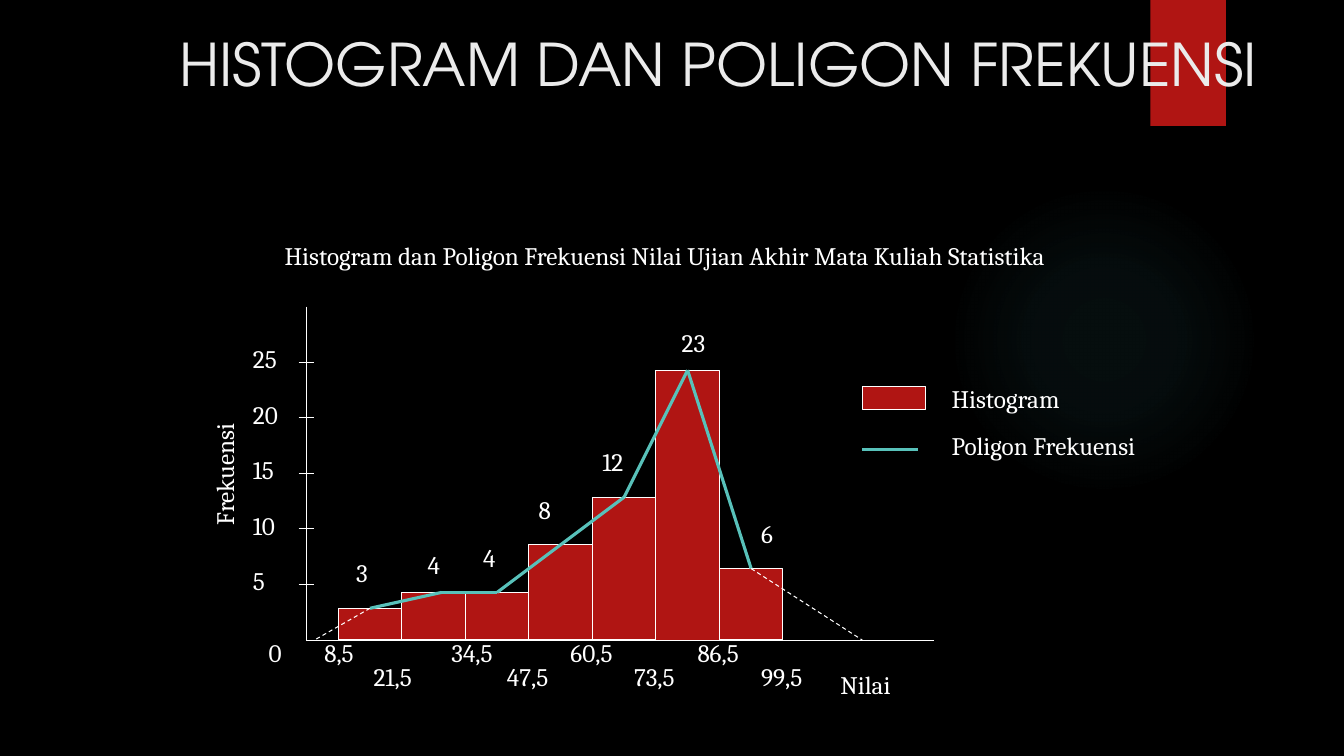
from itertools import pairwise

from lxml import etree
from pptx import Presentation
from pptx.dml.color import RGBColor
from pptx.enum.dml import MSO_LINE
from pptx.enum.shapes import MSO_CONNECTOR, MSO_SHAPE
from pptx.enum.text import MSO_ANCHOR, MSO_AUTO_SIZE
from pptx.oxml.ns import qn
from pptx.util import Inches, Pt

RECTANGLE, OVAL = MSO_SHAPE.RECTANGLE, MSO_SHAPE.OVAL
STRAIGHT = MSO_CONNECTOR.STRAIGHT
DASH = MSO_LINE.DASH
TOP = MSO_ANCHOR.TOP
FIT_SHAPE, NO_FIT = MSO_AUTO_SIZE.SHAPE_TO_FIT_TEXT, MSO_AUTO_SIZE.NONE

BLACK = RGBColor(0x00, 0x00, 0x00)
WHITE = RGBColor(0xFF, 0xFF, 0xFF)
PALE = RGBColor(0xEB, 0xEB, 0xEB)
RED = RGBColor(0xB0, 0x15, 0x13)
TEAL = RGBColor(0x58, 0xC1, 0xBA)
GLOW = RGBColor(0x50, 0xB9, 0xC1)

# Chart grid: columns run right and rows run up from the origin
UNIT = 0.1575
ORIGIN_X, ORIGIN_Y = 3.04, 6.35
BAR_COLUMNS = 4
FIRST_BAR = 2
ROWS_PER_TICK = 3.5
LABEL_HEIGHT = 0.4

# Bar height in rows, then frequency and the column and row of its label
BARS = [
    (2, "3", 2.5, 5.5),
    (3, "4", 7, 6),
    (3, "4", 10.5, 6.5),
    (6, "8", 14, 9.5),
    (9, "12", 18, 12.5),
    (17, "23", 23, 20),
    (4.5, "6", 28, 8),
]
BOUNDARIES = [("8,5", 0.5), ("21,5", 3.6), ("34,5", 8.5), ("47,5", 12),
              ("60,5", 16), ("73,5", 20), ("86,5", 24), ("99,5", 28)]
POLYGON_COLUMNS = [4, 8.5, 12, 16, 20, 24, 28]


def grid_x(column):
    return ORIGIN_X + column * UNIT


def grid_y(row):
    return ORIGIN_Y - row * UNIT


def add_block(page, left, top, width, height, kind=RECTANGLE, fill=RED, line=None):
    block = page.shapes.add_shape(
        kind, Inches(left), Inches(top), Inches(width), Inches(height))
    block.shadow.inherit = False
    if fill is not None:
        block.fill.solid()
        block.fill.fore_color.rgb = fill
    if line is None:
        block.line.fill.background()
    else:
        block.line.color.rgb = line
        block.line.width = Pt(0.75)
    return block


def add_bar(page, column, row, rows):
    add_block(page, grid_x(column), grid_y(row), BAR_COLUMNS * UNIT, rows * UNIT,
              line=WHITE)


def add_line(page, start, end, color=WHITE, weight=0.75, dash=None):
    line = page.shapes.add_connector(
        STRAIGHT, Inches(grid_x(start[0])), Inches(grid_y(start[1])),
        Inches(grid_x(end[0])), Inches(grid_y(end[1])))
    line.line.color.rgb = color
    line.line.width = Pt(weight)
    if dash is not None:
        line.line.dash_style = dash
    etree.SubElement(line._element.spPr, qn("a:effectLst"))


def add_text(page, text, left, top, width, height, size=18, font="Cambria",
             color=WHITE, wrap=False, fit=FIT_SHAPE, rotation=0):
    box = page.shapes.add_textbox(
        Inches(left), Inches(top), Inches(width), Inches(height))
    box.rotation = rotation
    frame = box.text_frame
    frame.word_wrap = wrap
    frame.auto_size = fit
    frame.vertical_anchor = TOP
    span = frame.paragraphs[0].add_run()
    span.text = text
    span.font.size = Pt(size)
    span.font.name = font
    span.font.color.rgb = color


def add_label(page, text, column, row, width=None, rotation=0):
    if width is None:
        commas = text.count(",")
        width = 0.2 + 0.14 * (len(text) - commas) + 0.07 * commas
    add_text(page, text, grid_x(column), grid_y(row), width, LABEL_HEIGHT,
             rotation=rotation)


def add_glow(page):
    glow = add_block(page, 9.41, 1.83, 3.08, 3.08, kind=OVAL, fill=None)
    gradient = etree.Element(qn("a:gradFill"), rotWithShape="1")
    stops = etree.SubElement(gradient, qn("a:gsLst"))
    for position, opacity in [(0, 7), (36, 6), (69, 0)]:
        stop = etree.SubElement(stops, qn("a:gs"), pos=str(position * 1000))
        color = etree.SubElement(stop, qn("a:srgbClr"), val=str(GLOW))
        etree.SubElement(color, qn("a:alpha"), val=str(opacity * 1000))
    circle = etree.SubElement(gradient, qn("a:path"), path="circle")
    etree.SubElement(circle, qn("a:fillToRect"),
                     l="50000", t="50000", r="50000", b="50000")
    glow._element.spPr.find(qn("a:prstGeom")).addnext(gradient)


def add_axes(page):
    add_line(page, (0, 21), (0, 0))
    add_line(page, (0, 0), (39.5, 0))
    add_label(page, "0", -3, 0.5)
    for step in range(1, 6):
        row = step * ROWS_PER_TICK
        add_line(page, (-0.5, row), (0.5, row))
        add_label(page, str(step * 5), -4, row + 1.5)
    for index, (text, column) in enumerate(BOUNDARIES):
        add_label(page, text, column, -1 if index % 2 else 0.5)
    add_label(page, "Frekuensi", -9.6, 12.3, width=1.39, rotation=270)
    add_label(page, "Nilai", 33, -1.5, width=0.78)


def add_histogram(page):
    for index, (rows, text, column, row) in enumerate(BARS):
        add_bar(page, FIRST_BAR + index * BAR_COLUMNS, rows, rows)
        add_label(page, text, column, row)


def add_polygon(page):
    points = [(column, bar[0]) for column, bar in zip(POLYGON_COLUMNS, BARS)]
    for start, end in pairwise(points):
        add_line(page, start, end, color=TEAL, weight=2.25)
    add_line(page, points[0], (0.5, 0), dash=DASH)
    add_line(page, points[-1], (35, 0), dash=DASH)


def add_legend(page):
    add_bar(page, 35, 16, 1.5)
    add_line(page, (35, 12), (38.5, 12), color=TEAL, weight=2.25)
    add_label(page, "Histogram", 40, 16.5, width=1.44)
    add_label(page, "Poligon Frekuensi", 40, 13.5, width=2.33)


def main():
    deck = Presentation()
    deck.slide_width, deck.slide_height = Inches(13.33), Inches(7.5)
    page = deck.slides.add_slide(deck.slide_layouts[6])
    page.background.fill.solid()
    page.background.fill.fore_color.rgb = BLACK

    # Backdrop and heading
    add_glow(page)
    add_block(page, 11.41, 0, 0.75, 1.25)
    add_text(page, "HISTOGRAM DAN POLIGON FREKUENSI", 1.68, 0.23, 11.36, 1.6,
             size=42, font="TeX Gyre Adventor", color=PALE, wrap=True, fit=NO_FIT)

    # Diagram
    add_label(page, "Histogram dan Poligon Frekuensi Nilai Ujian Akhir "
              "Mata Kuliah Statistika", -2, 25.5, width=9.06)
    add_histogram(page)
    add_axes(page)
    add_polygon(page)
    add_legend(page)
    deck.save("out.pptx")


main()
